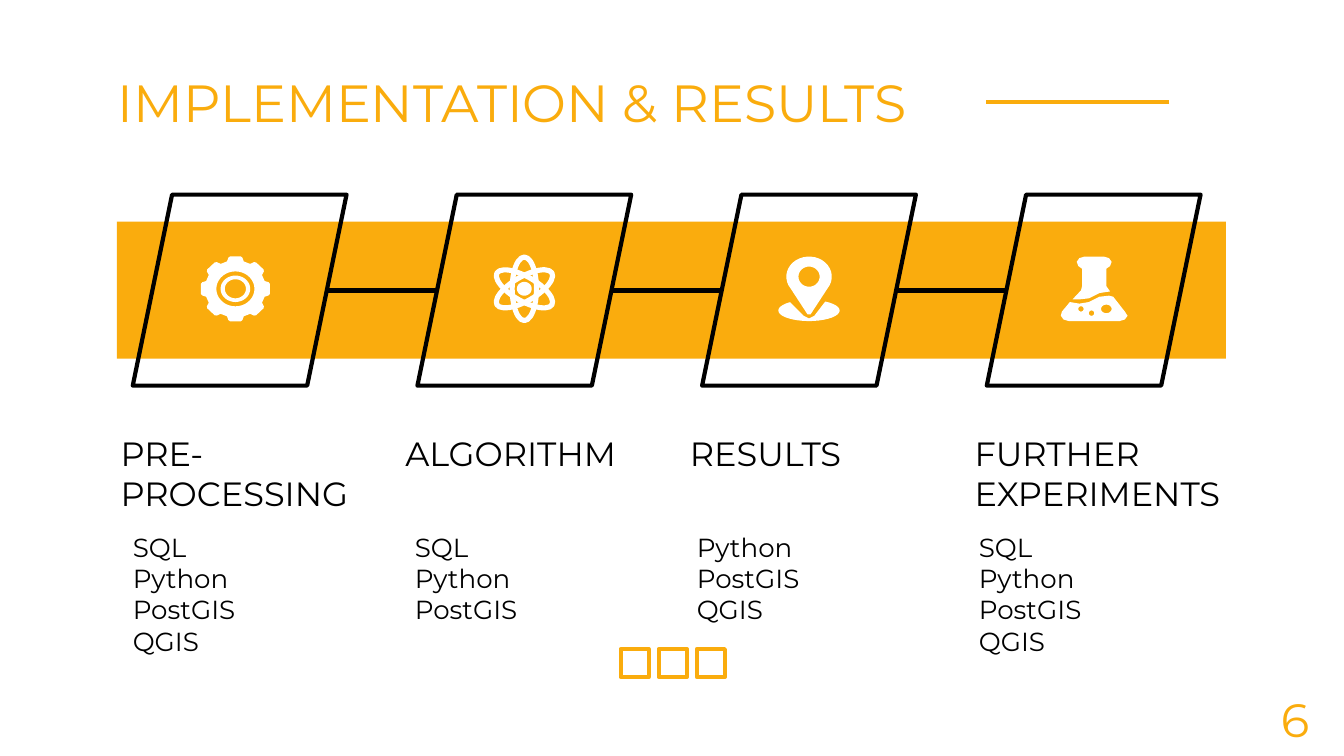
from math import cos, radians, sin

from lxml import etree
from pptx import Presentation
from pptx import util as u
from pptx.dml.color import RGBColor
from pptx.enum import shapes, text
from pptx.oxml.ns import qn

# Content
TITLE = "IMPLEMENTATION & RESULTS"
PAGE = "6"
STEPS = [
    ("PRE-PROCESSING", ["SQL", "Python", "PostGIS", "QGIS"]),
    ("ALGORITHM", ["SQL", "Python", "PostGIS"]),
    ("RESULTS", ["Python", "PostGIS", "QGIS"]),
    ("FURTHER EXPERIMENTS", ["SQL", "Python", "PostGIS", "QGIS"]),
]
COLORS = {"accent": "FAAC0D", "ink": "000000", "icon": "FFFFFF"}
FONT = "Montserrat"

# Layout, in centimetres
STEP_PITCH, TOOLS_PITCH, SQUARE_PITCH = 5.38, 5.33, 0.72
ICON_Y = 5.46
GEAR_X, ATOM_X, PIN_X, FLASK_X = 4.45, 9.91, 15.29, 20.68

# Flask outlines, measured from the icon centre
FLASK_LIQUID = [
    (-0.46, 0.25), (-0.28, 0.28), (-0.1, 0.25), (0.1, 0.15), (0.28, 0.13),
    (0.36, 0.15), (0.58, 0.43), (0.63, 0.51), (0.58, 0.58), (0.48, 0.61),
    (-0.48, 0.61), (-0.58, 0.58), (-0.63, 0.51), (-0.61, 0.43),
]
FLASK_NECK = [
    (-0.18, -0.61), (0.18, -0.61), (0.28, -0.58), (0.33, -0.51), (0.3, -0.43),
    (0.23, -0.38), (0.23, -0.05), (0.3, 0.05), (0.1, 0.08), (-0.1, 0.18),
    (-0.28, 0.2), (-0.41, 0.2), (-0.25, 0.03), (-0.23, -0.05), (-0.23, -0.38),
    (-0.3, -0.43), (-0.33, -0.51), (-0.28, -0.58),
]

deck = Presentation()
deck.slide_width, deck.slide_height = u.Cm(25.4), u.Cm(14.29)
slide = deck.slides.add_slide(deck.slide_layouts[6])


def rgb(name):
    return RGBColor.from_string(COLORS[name])


def paint(shape, fill=None, line=None, width=2.25):
    shape.shadow.inherit = False
    if fill:
        shape.fill.solid()
        shape.fill.fore_color.rgb = rgb(fill)
    else:
        shape.fill.background()
    if line:
        shape.line.color.rgb = rgb(line)
        shape.line.width = u.Pt(width)
    else:
        shape.line.fill.background()


def add_shape(kind, box, **look):
    shape = slide.shapes.add_shape(kind, *map(u.Cm, box))
    paint(shape, **look)
    return shape


def add_line(x1, x2, y, color):
    line = slide.shapes.add_connector(
        shapes.MSO_CONNECTOR.STRAIGHT, u.Cm(x1), u.Cm(y), u.Cm(x2), u.Cm(y))
    line.line.color.rgb = rgb(color)
    line.line.width = u.Pt(2.25)
    etree.SubElement(line._element.spPr, qn("a:effectLst"))


def add_text(lines, box, size, color="ink", margins=(0.25, 0, 0.25, 0.25), wrap=True,
             after=0, align=text.PP_ALIGN.LEFT, anchor=text.MSO_ANCHOR.TOP):
    frame = slide.shapes.add_textbox(*map(u.Cm, box)).text_frame
    frame.word_wrap = wrap
    frame.vertical_anchor = anchor
    (frame.margin_left, frame.margin_top,
     frame.margin_right, frame.margin_bottom) = map(u.Cm, margins)
    frame.text = "\n".join(lines)
    for paragraph in frame.paragraphs:
        paragraph.alignment = align
        paragraph.space_after = u.Pt(after)
        paragraph.font.name = FONT
        paragraph.font.size = u.Pt(size)
        paragraph.font.color.rgb = rgb(color)


def arc(x, y, rx, ry, start=0, end=360, step=10):
    return [(x + rx * cos(radians(a)), y + ry * sin(radians(a)))
            for a in range(start, end, step)]


def add_icon(center_x, *outlines):
    """Fill the first outline and cut the others out of it."""
    placed = [[(u.Cm(center_x + x), u.Cm(ICON_Y + y)) for x, y in outline]
              for outline in outlines]
    builder = slide.shapes.build_freeform(*placed[0][0])
    builder.add_line_segments(placed[0][1:])
    for hole in placed[1:]:
        builder.move_to(*hole[0])
        builder.add_line_segments(hole[1:])
    paint(builder.convert_to_shape(), fill="icon")


# Footer squares
for i in range(3):
    add_shape(shapes.MSO_SHAPE.RECTANGLE, (11.73 + i * SQUARE_PITCH, 12.27, 0.53, 0.53),
              line="accent")

# Title and its rule
add_text([TITLE], (1.98, 1.32, 21.46, 1.57), 28, color="accent")
add_line(22.1, 18.64, 1.93, "accent")

# Band, frames, headings and tools of the steps
add_shape(shapes.MSO_SHAPE.RECTANGLE, (2.21, 4.19, 20.96, 2.59), fill="accent")
for i, (heading, tools) in enumerate(STEPS):
    shift = i * STEP_PITCH
    frame = add_shape(shapes.MSO_SHAPE.PARALLELOGRAM, (2.51 + shift, 3.68, 4.04, 3.61),
                      line="ink")
    frame.adjustments[0] = 0.206
    if i < len(STEPS) - 1:
        add_line(6.17 + shift, 8.26 + shift, 5.49, "ink")
    heading_width = 5.54 if i == len(STEPS) - 1 else 5.18
    add_text([heading], (2.03 + shift, 8.18, heading_width, 0.86), 18, after=12)
    add_text(tools, (2.26 + i * TOOLS_PITCH, 9.91, 2.46, 0.25 + 0.6 * len(tools)), 14,
             margins=(0.25, 0.13, 0.25, 0.13), wrap=False)

# Gear: eight teeth around a ring
teeth = [(0.66 * r * cos(radians(tooth + a)), 0.62 * r * sin(radians(tooth + a)))
         for tooth in range(0, 360, 45)
         for a, r in [(-16, 0.87), (-12, 0.97), (-9, 1), (9, 1), (12, 0.97), (16, 0.87)]]
add_icon(GEAR_X, teeth, arc(0, 0, 0.36, 0.33))
add_icon(GEAR_X, arc(0, 0, 0.28, 0.25), arc(0, 0, 0.2, 0.18))

# Atom: three orbits and a nucleus
for angle in (0, 60, 120):
    orbit = add_shape(shapes.MSO_SHAPE.OVAL, (ATOM_X - 0.23, ICON_Y - 0.6, 0.46, 1.2),
                      line="icon", width=2.75)
    orbit.rotation = angle
add_icon(ATOM_X, arc(0, 0, 0.14, 0.13))

# Pin on its base
add_icon(PIN_X, arc(0, -0.23, 0.43, 0.38, 145, 400) + [(0.03, 0.48), (-0.03, 0.48)],
         arc(0, -0.23, 0.2, 0.19))
add_icon(PIN_X, arc(0, 0.41, 0.58, 0.2, -58, 240) + [(-0.1, 0.51), (0, 0.56), (0.1, 0.51)])

# Flask with bubbles
add_icon(FLASK_X, FLASK_LIQUID, arc(-0.25, 0.38, 0.05, 0.05),
         arc(0.23, 0.38, 0.1, 0.08), arc(-0.05, 0.46, 0.05, 0.05))
add_icon(FLASK_X, FLASK_NECK)

# Page number
add_text([PAGE], (23.55, 12.8, 1.85, 1.57), 25, color="accent", margins=(0.25,) * 4,
         align=text.PP_ALIGN.CENTER, anchor=text.MSO_ANCHOR.MIDDLE)

deck.save("out.pptx")
